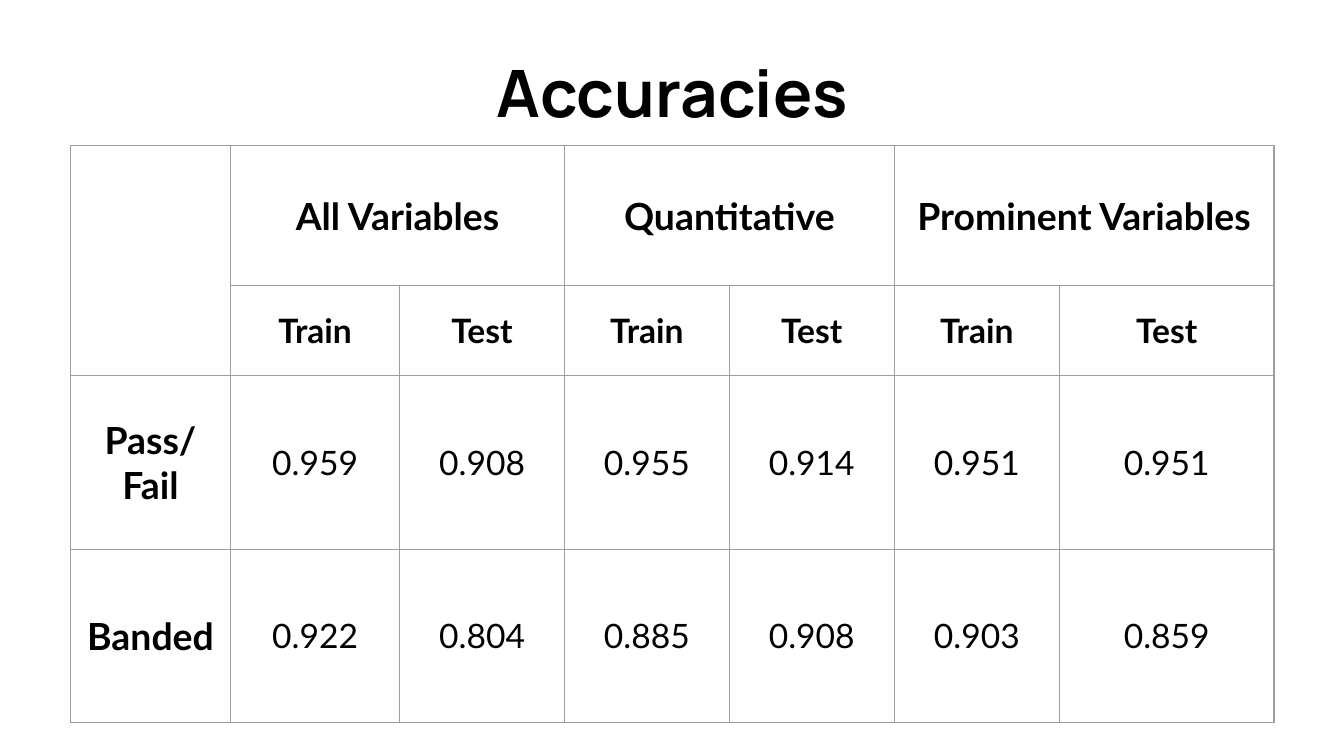
from lxml import etree
from pptx import Presentation
from pptx.dml.color import RGBColor
from pptx.enum.text import MSO_ANCHOR, MSO_AUTO_SIZE, PP_ALIGN
from pptx.oxml.ns import qn
from pptx.util import Cm, Pt

BLACK = RGBColor(0x00, 0x00, 0x00)
GREY = RGBColor(0x9E, 0x9E, 0x9E)
CENTER = PP_ALIGN.CENTER
TOP = MSO_ANCHOR.TOP
MIDDLE = MSO_ANCHOR.MIDDLE
NO_FIT = MSO_AUTO_SIZE.NONE
PAD = Cm(0.25)


def write(frame, text, font, size, bold):
    """Fill a text frame with one centred paragraph per line of text."""
    for i, line in enumerate(text.split("\n")):
        para = frame.add_paragraph() if i else frame.paragraphs[0]
        para.alignment = CENTER
        run = para.add_run()
        run.text = line
        run.font.name = font
        run.font.size = Pt(size)
        run.font.bold = bold
        run.font.color.rgb = BLACK


def frame_cell(cell):
    """Clear the fill and draw a thin grey line on all four sides."""
    cell.fill.background()
    props = cell._tc.get_or_add_tcPr()
    for i, side in enumerate(("lnL", "lnR", "lnT", "lnB")):
        line = etree.Element(qn("a:" + side), w=str(Pt(0.75)))
        fill = etree.SubElement(line, qn("a:solidFill"))
        etree.SubElement(fill, qn("a:srgbClr"), val=str(GREY))
        props.insert(i, line)


deck = Presentation()
deck.slide_width = Cm(25.4)
deck.slide_height = Cm(14.29)
slide = deck.slides.add_slide(deck.slide_layouts[5])

# Title
title = slide.shapes.title
title.left, title.top = Cm(0.97), Cm(0.74)
title.width, title.height = Cm(23.47), Cm(2)
frame = title.text_frame
frame.auto_size = NO_FIT
frame.word_wrap = True
frame.vertical_anchor = TOP
frame.margin_left = frame.margin_right = PAD
frame.margin_top = frame.margin_bottom = PAD
write(frame, "Accuracies", "Manrope", 35, True)

# Table of scores
GROUPS = ["All Variables", "Quantitative", "Prominent Variables"]
SCORES = [
    ["Pass/\nFail", "0.959", "0.908", "0.955", "0.914", "0.951", "0.951"],
    ["Banded", "0.922", "0.804", "0.885", "0.908", "0.903", "0.859"],
]
WIDTHS = [3.03, 3.19, 3.12, 3.11, 3.12, 3.12, 4.06]
HEIGHTS = [2.65, 1.7, 3.28, 3.28]

heads = [""]
for group in GROUPS:
    heads += [group, ""]
rows = [heads, [""] + ["Train", "Test"] * len(GROUPS)] + SCORES

table = slide.shapes.add_table(
    len(rows), len(WIDTHS), Cm(1.33), Cm(2.75),
    Cm(sum(WIDTHS)), Cm(sum(HEIGHTS))).table
table.first_row = False
table.horz_banding = False
for col, width in zip(table.columns, WIDTHS):
    col.width = Cm(width)
for row, height in zip(table.rows, HEIGHTS):
    row.height = Cm(height)

for r, row in enumerate(rows):
    for c, text in enumerate(row):
        cell = table.cell(r, c)
        frame_cell(cell)
        cell.vertical_anchor = MIDDLE
        cell.margin_left = cell.margin_right = PAD
        cell.margin_top = cell.margin_bottom = PAD
        if text:
            size = 20 if r == 0 or c == 0 else 18
            write(cell.text_frame, text, "Lato", size, r < 2 or c == 0)

table.cell(0, 0).merge(table.cell(1, 0))
for c in range(1, len(WIDTHS), 2):
    table.cell(0, c).merge(table.cell(0, c + 1))

deck.save("out.pptx")
